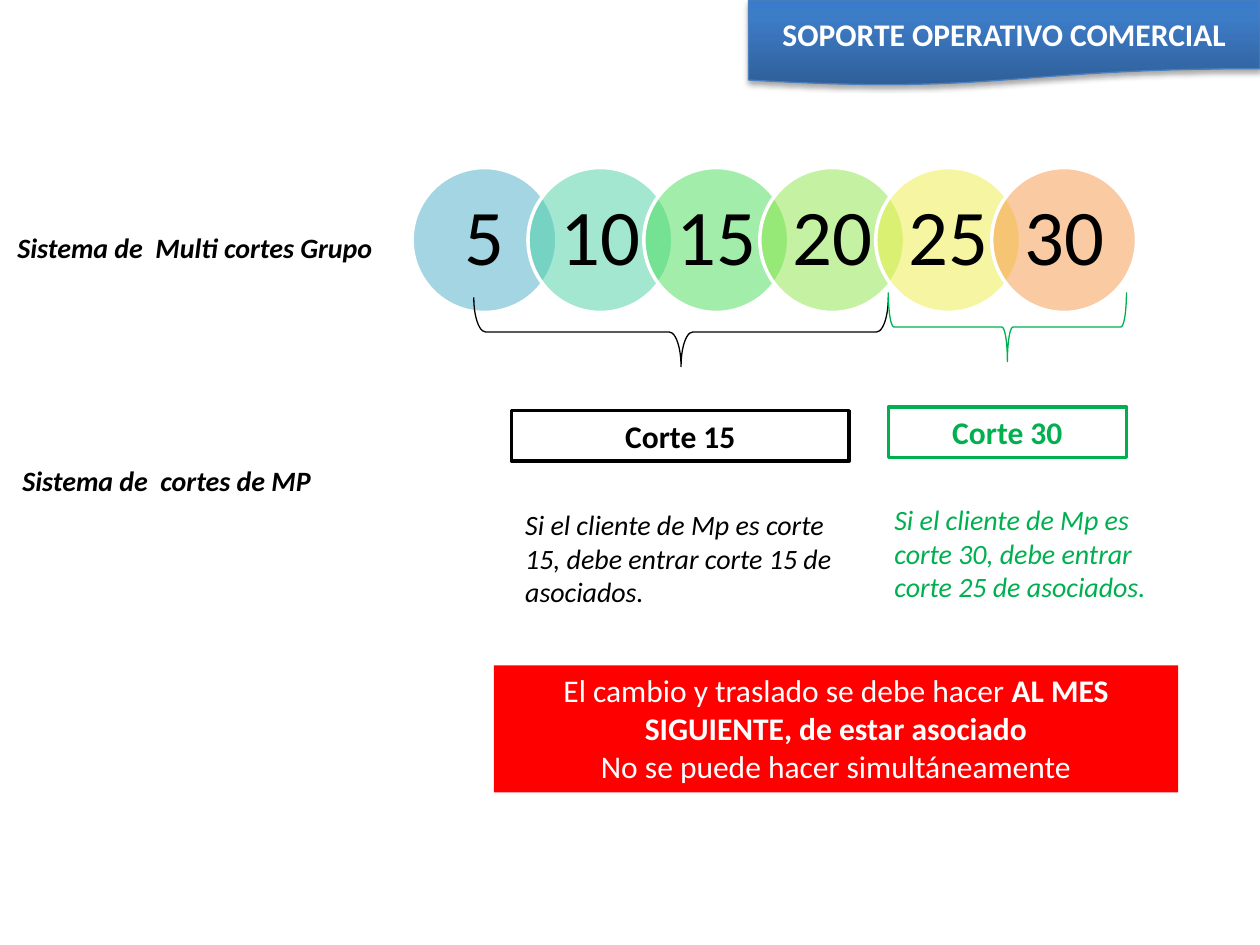
from lxml import etree
from pptx import Presentation
from pptx.dml.color import RGBColor
from pptx.enum.shapes import MSO_SHAPE
from pptx.enum.text import MSO_ANCHOR, MSO_AUTO_SIZE, PP_ALIGN
from pptx.oxml import parse_xml
from pptx.oxml.ns import qn
from pptx.util import Inches, Pt

OVAL, RECT, BRACE = MSO_SHAPE.OVAL, MSO_SHAPE.RECTANGLE, MSO_SHAPE.RIGHT_BRACE
WAVY_BAND = MSO_SHAPE.FLOWCHART_DOCUMENT
TOP, MIDDLE = MSO_ANCHOR.TOP, MSO_ANCHOR.MIDDLE
LEFT, CENTER = PP_ALIGN.LEFT, PP_ALIGN.CENTER
GROW, FIXED = MSO_AUTO_SIZE.SHAPE_TO_FIT_TEXT, MSO_AUTO_SIZE.NONE

FONT = "Calibri"
BLACK, WHITE, GREEN, RED = "000000", "FFFFFF", "00B050", "FF0000"
TITLE_ONLY = 5
A_NS = 'xmlns:a="http://schemas.openxmlformats.org/drawingml/2006/main"'


def rgb(hex_color):
    return RGBColor.from_string(hex_color)


def place(box):
    return [Inches(length) for length in box]


def format_runs(paragraph, size, color, bold=False, italic=False, align=LEFT):
    paragraph.alignment = align
    for run in paragraph.runs:
        font = run.font
        font.name, font.size = FONT, Pt(size)
        font.bold, font.italic = bold, italic
        font.color.rgb = rgb(color)


def add_outlined(slide, preset, box, fill=None, line=None, width=0.75):
    shape = slide.shapes.add_shape(preset, *place(box))
    shape.shadow.inherit = False
    if fill:
        shape.fill.solid()
        shape.fill.fore_color.rgb = rgb(fill)
    else:
        shape.fill.background()
    if line:
        shape.line.color.rgb = rgb(line)
        shape.line.width = Pt(width)
    else:
        shape.line.fill.background()
    return shape


def add_label(slide, box, text, color=BLACK, bold=False):
    label = slide.shapes.add_textbox(*place(box))
    frame = label.text_frame
    frame.word_wrap = True
    frame.auto_size = GROW
    frame.text = text
    format_runs(frame.paragraphs[0], 16, color, bold, italic=True)


def header_band(slide, box, text):
    left, top, width, height = box
    band = add_outlined(slide, WAVY_BAND, box, line="4B7EBC")

    # Gradient from the bottom up, and soft shadow
    properties = band._element.spPr
    stops = "".join(
        f'<a:gs pos="{pos}000"><a:srgbClr val="{color}"/></a:gs>'
        for pos, color in ((0, "2F5F99"), (80, "3D7CC7"), (100, "3A7CCB")))
    properties.replace(properties.find(qn("a:noFill")), parse_xml(
        f'<a:gradFill {A_NS} rotWithShape="1"><a:gsLst>{stops}</a:gsLst>'
        '<a:lin ang="16200000" scaled="0"/></a:gradFill>'))
    properties.find(qn("a:effectLst")).append(parse_xml(
        f'<a:outerShdw {A_NS} blurRad="{Pt(3.1)}" dist="{Pt(1.8)}" '
        'dir="5400000" rotWithShape="0"><a:srgbClr val="000000">'
        '<a:alpha val="35000"/></a:srgbClr></a:outerShdw>'))

    # Title in front of the band, centred in the part above the wave
    title = slide.shapes.title
    slide.shapes._spTree.append(title._element)
    title.left, title.top, title.width, title.height = place(
        (left, top, width, height * 0.8))
    frame = title.text_frame
    frame.text = text
    frame.word_wrap = True
    frame.auto_size = FIXED
    frame.vertical_anchor = MIDDLE
    format_runs(frame.paragraphs[0], 18, WHITE, bold=True, align=CENTER)


def cut_circles(slide, box, cuts):
    left, top, width, diameter = box
    step = (width - diameter) / (len(cuts) - 1)
    for index, (day, color) in enumerate(cuts):
        circle = add_outlined(
            slide, OVAL, (left + index * step, top, diameter, diameter),
            color, WHITE, 2)
        # Half-transparent fill, so that the overlaps show
        fill_color = circle._element.spPr.find(qn("a:solidFill"))[0]
        etree.SubElement(fill_color, qn("a:alpha")).set("val", "50000")
        frame = circle.text_frame
        frame.margin_left = frame.margin_right = Inches(0.06)
        frame.margin_top = frame.margin_bottom = Inches(0.06)
        frame.word_wrap = False
        frame.vertical_anchor = MIDDLE
        frame.text = day
        frame.paragraphs[0].line_spacing = 0.9
        format_runs(frame.paragraphs[0], 45, BLACK, align=CENTER)


def down_brace(slide, box, color, curve):
    """Brace pointing down that fills the given box."""
    left, top, width, height = box
    shift = (width - height) / 2
    brace = add_outlined(
        slide, BRACE, (left + shift, top - shift, height, width), line=color)
    brace.adjustments[0] = curve
    brace.rotation = 90


def cut_box(slide, box, text, color):
    cut = add_outlined(slide, RECT, box, WHITE, color, 2)
    frame = cut.text_frame
    frame.vertical_anchor = TOP
    frame.auto_size = GROW
    frame.text = text
    format_runs(frame.paragraphs[0], 18, color, bold=True, align=CENTER)


def warning_box(slide, box, lead, emphasis, closing):
    warning = add_outlined(slide, RECT, box, RED)
    frame = warning.text_frame
    frame.word_wrap = True
    frame.auto_size = GROW
    frame.vertical_anchor = TOP
    frame.text = lead
    first = frame.paragraphs[0]
    strong = first.add_run()
    strong.text = emphasis
    last = frame.add_paragraph()
    last.text = closing
    for paragraph in (first, last):
        format_runs(paragraph, 18, WHITE, align=CENTER)
    strong.font.bold = True


def main():
    prs = Presentation()
    prs.slide_width, prs.slide_height = Inches(10), Inches(7.5)
    slide = prs.slides.add_slide(prs.slide_layouts[TITLE_ONLY])

    header_band(slide, (5.94, 0, 4.06, 0.68), "SOPORTE OPERATIVO COMERCIAL")

    # Cut days and the braces that group them
    cut_circles(slide, (3.27, 1.33, 5.75, 1.15), [
        ("5", "4BACC6"), ("10", "49D1A3"), ("15", "47DC57"),
        ("20", "8DE646"), ("25", "EEEF46"), ("30", "F79646")])
    down_brace(slide, (3.76, 2.36, 3.29, 0.55), BLACK, 0.17)
    down_brace(slide, (7.05, 2.32, 1.89, 0.55), GREEN, 0.08)

    # Row labels
    add_label(slide, (0.04, 1.78, 3.54, 0.37),
              "Sistema de  Multi cortes Grupo", bold=True)
    add_label(slide, (0.08, 3.63, 3.7, 0.37),
              "Sistema de  cortes de MP", bold=True)

    # Resulting cuts and their rules
    cut_box(slide, (4.06, 3.26, 2.68, 0.4), "Corte 15", BLACK)
    cut_box(slide, (7.05, 3.23, 1.89, 0.4), "Corte 30", GREEN)
    add_label(slide, (4.07, 3.98, 2.67, 0.91),
              "Si el cliente de Mp es corte 15, debe entrar corte 15 de asociados.")
    add_label(slide, (7, 3.94, 2.35, 0.91),
              "Si el cliente de Mp es corte 30, debe entrar corte 25 de asociados.",
              GREEN)

    warning_box(slide, (3.92, 5.28, 5.43, 1.01),
                "El cambio y traslado se debe hacer ",
                "AL MES SIGUIENTE, de estar asociado",
                "No se puede hacer simultáneamente")

    prs.save("out.pptx")


if __name__ == "__main__":
    main()
